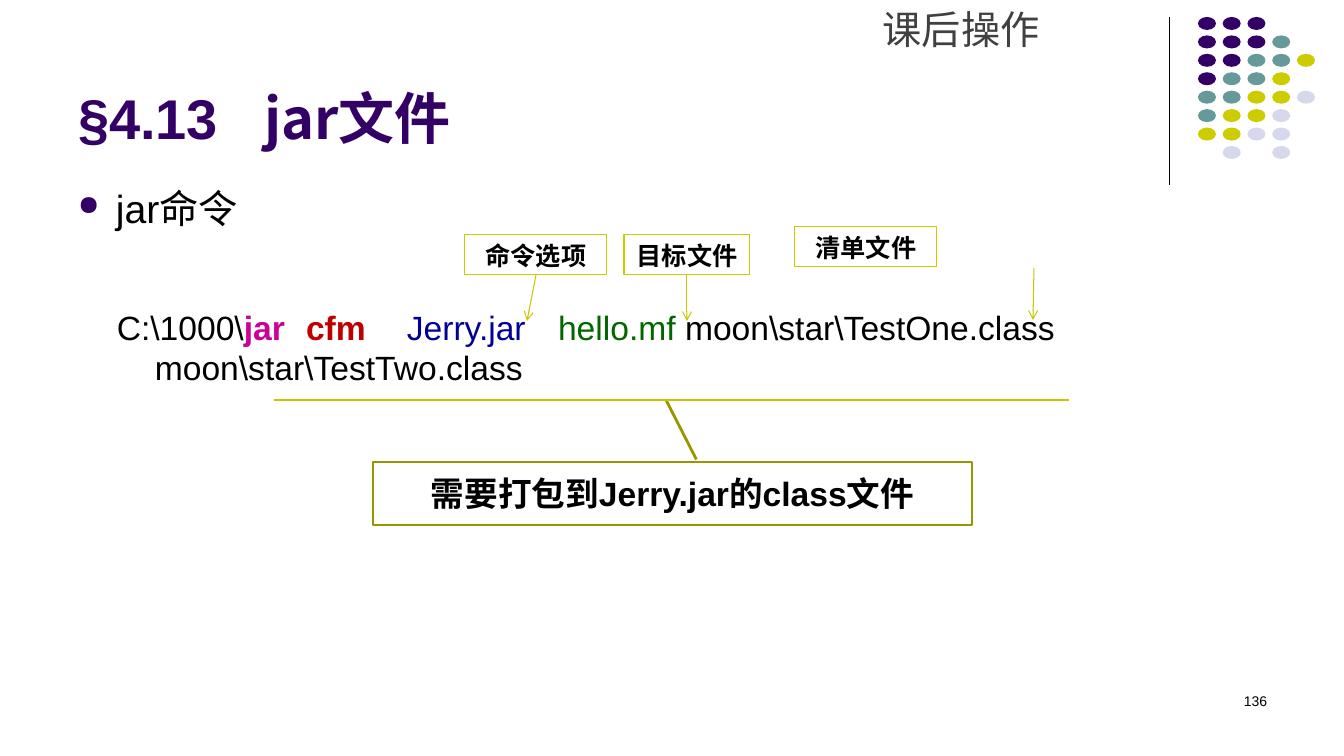
from lxml.etree import SubElement
from pptx import Presentation
from pptx.dml.color import RGBColor
from pptx.enum.shapes import MSO_CONNECTOR, MSO_SHAPE
from pptx.enum.text import MSO_ANCHOR, MSO_AUTO_SIZE, PP_ALIGN
from pptx.oxml.ns import qn
from pptx.util import Emu, Pt

COLORS = {
    "purple": "330066", "teal": "669999", "yellow": "CCCC00", "lilac": "D8D8EC",
    "black": "000000", "white": "FFFFFF", "gray": "404040", "pink": "CC0099",
    "red": "C00000", "blue": "000099", "green": "006600",
    "olive": "979700", "arrow": "C8C800",
}
LATIN, CJK = "Arial", "Noto Sans CJK SC"

TITLE = [("§4.13\t", {"bold": True}), ("jar文件", {"bold": True, "name": CJK})]
TOPIC = "jar命令"
COMMAND = [
    ("C:\\1000\\", "black", False),
    ("jar\t", "pink", True),
    ("cfm\t", "red", True),
    ("Jerry.jar\t", "blue", False),
    ("hello.mf", "green", False),
    (" moon\\star\\TestOne.class moon\\star\\TestTwo.class", "black", False),
]
TITLE_TABS = [186]
COMMAND_TABS = [262, 387, 581]
CALLOUT = "需要打包到Jerry.jar的class文件"
CORNER_NOTE, PAGE = "课后操作", "136"
# text, box (left, top, width, height), arrow tip or None
LABELS = [
    ("清单文件", (795, 227, 142, 40), None),
    ("命令选项", (465, 235, 142, 40), (527, 321)),
    ("目标文件", (624, 235, 126, 40), (687, 321)),
]
DOT_ROWS = ["PPP", "PPPT", "PPTTY", "PTTY", "TTYYL", "TYYL", "YYLL", " L L"]
DOT_COLORS = {"P": "purple", "T": "teal", "Y": "yellow", "L": "lilac"}
DOT_LEFT, DOT_TOP, DOT_W, DOT_H = 1198, 17, 18, 13
DOTS_ACROSS, DOTS_DOWN = 99, 129  # first to last column, first to last row


def px(*lengths):
    return [Emu(round(n * 914400 / 100.8)) for n in lengths]


def rgb(name):
    return RGBColor.from_string(COLORS[name])


def add_run(p, text, size, color="black", **font):
    r = p.add_run()
    r.text = text
    r.font.color.rgb = rgb(color)
    for key, value in {"size": Pt(size), "name": LATIN, **font}.items():
        setattr(r.font, key, value)
    SubElement(r._r.get_or_add_rPr(), qn("a:ea"), typeface=CJK)


def set_tabs(p, stops):
    tabs = SubElement(p._p.get_or_add_pPr(), qn("a:tabLst"))
    for stop in px(*stops):
        SubElement(tabs, qn("a:tab"), pos=str(stop), algn="l")


def set_indent(p, left, hanging):
    pPr = p._p.get_or_add_pPr()
    for key, value in zip(("marL", "indent"), px(left, -hanging)):
        pPr.set(key, str(value))
    return pPr


def add_text(box, wrap=True):
    tf = s.shapes.add_textbox(*px(*box)).text_frame
    tf.word_wrap = wrap
    return tf


def add_box(kind, box, text, size, line, width, fill=None):
    sp = s.shapes.add_shape(kind, *px(*box))
    sp.shadow.inherit = False
    if fill:
        sp.fill.solid()
        sp.fill.fore_color.rgb = rgb(fill)
    else:
        sp.fill.background()
    sp.line.color.rgb = rgb(line)
    sp.line.width = Pt(width)
    tf = sp.text_frame
    tf.vertical_anchor = MSO_ANCHOR.MIDDLE
    tf.paragraphs[0].alignment = PP_ALIGN.CENTER
    add_run(tf.paragraphs[0], text, size, bold=True)
    return sp


def add_line(start, end, color="arrow", arrow=False):
    line = s.shapes.add_connector(MSO_CONNECTOR.STRAIGHT, *px(*start, *end))
    line.line.color.rgb = rgb(color)
    line.line.width = Pt(0.75)
    if arrow:
        SubElement(line.line._get_or_add_ln(), qn("a:tailEnd"), type="arrow")
    SubElement(line._element.spPr, qn("a:effectLst"))
    return line


prs = Presentation()
prs.slide_width, prs.slide_height = px(1344, 756)
s = prs.slides.add_slide(prs.slide_layouts[5])

# Corner decoration
add_line((1170, 17), (1170, 185), "black")
for row, marks in enumerate(DOT_ROWS):
    for col, mark in enumerate(marks):
        if mark == " ":
            continue
        left = DOT_LEFT + col * DOTS_ACROSS / 4
        top = DOT_TOP + row * DOTS_DOWN / (len(DOT_ROWS) - 1)
        dot = s.shapes.add_shape(MSO_SHAPE.OVAL, *px(left, top, DOT_W, DOT_H))
        dot.shadow.inherit = False
        dot.fill.solid()
        dot.fill.fore_color.rgb = rgb(DOT_COLORS[mark])
        dot.line.fill.background()

# Title
title = s.shapes.title
title.left, title.top, title.width, title.height = px(68, 13, 1109, 143)
tf = title.text_frame
tf.auto_size = MSO_AUTO_SIZE.NONE
tf.vertical_anchor = MSO_ANCHOR.BOTTOM
p = tf.paragraphs[0]
p.alignment = PP_ALIGN.LEFT
set_tabs(p, TITLE_TABS)
for text, font in TITLE:
    add_run(p, text, 40, "purple", **font)

# Topic and command line
tf = add_text((68, 179, 1210, 496))
p = tf.paragraphs[0]
pPr = set_indent(p, 38, 38)
SubElement(SubElement(pPr, qn("a:buClr")), qn("a:srgbClr"), val=COLORS["purple"])
SubElement(pPr, qn("a:buSzPct"), val="70000")
SubElement(pPr, qn("a:buChar"), char="●")
add_run(p, TOPIC, 28)
p = tf.add_paragraph()
set_indent(p, 77, 38)
p.space_before = Pt(54)
set_tabs(p, COMMAND_TABS)
for text, color, bold in COMMAND:
    add_run(p, text, 24, color, bold=bold)

# Labels, arrows and callout
callout = add_box(MSO_SHAPE.LINE_CALLOUT_1, (373, 462, 599, 63), CALLOUT, 24,
                  "olive", 2, "white")
for i, value in enumerate((-0.04, 0.54, -0.97, 0.49)):
    callout.adjustments[i] = value
add_line((274, 400), (1069, 400))
for text, box, tip in LABELS:
    label = add_box(MSO_SHAPE.RECTANGLE, box, text, 18, "yellow", 0.75)
    if tip:
        left, top, width, height = box
        arrow = add_line((left + width // 2, top + height), tip, arrow=True)
        arrow.begin_connect(label, 2)
add_line((1034, 268), (1033, 320), arrow=True)

# Corner note and page number
add_run(add_text((873, 0, 177, 57), wrap=False).paragraphs[0], CORNER_NOTE, 28, "gray", name=CJK)
p = add_text((964, 688, 313, 50)).paragraphs[0]
p.alignment = PP_ALIGN.RIGHT
add_run(p, PAGE, 10)

prs.save("out.pptx")
